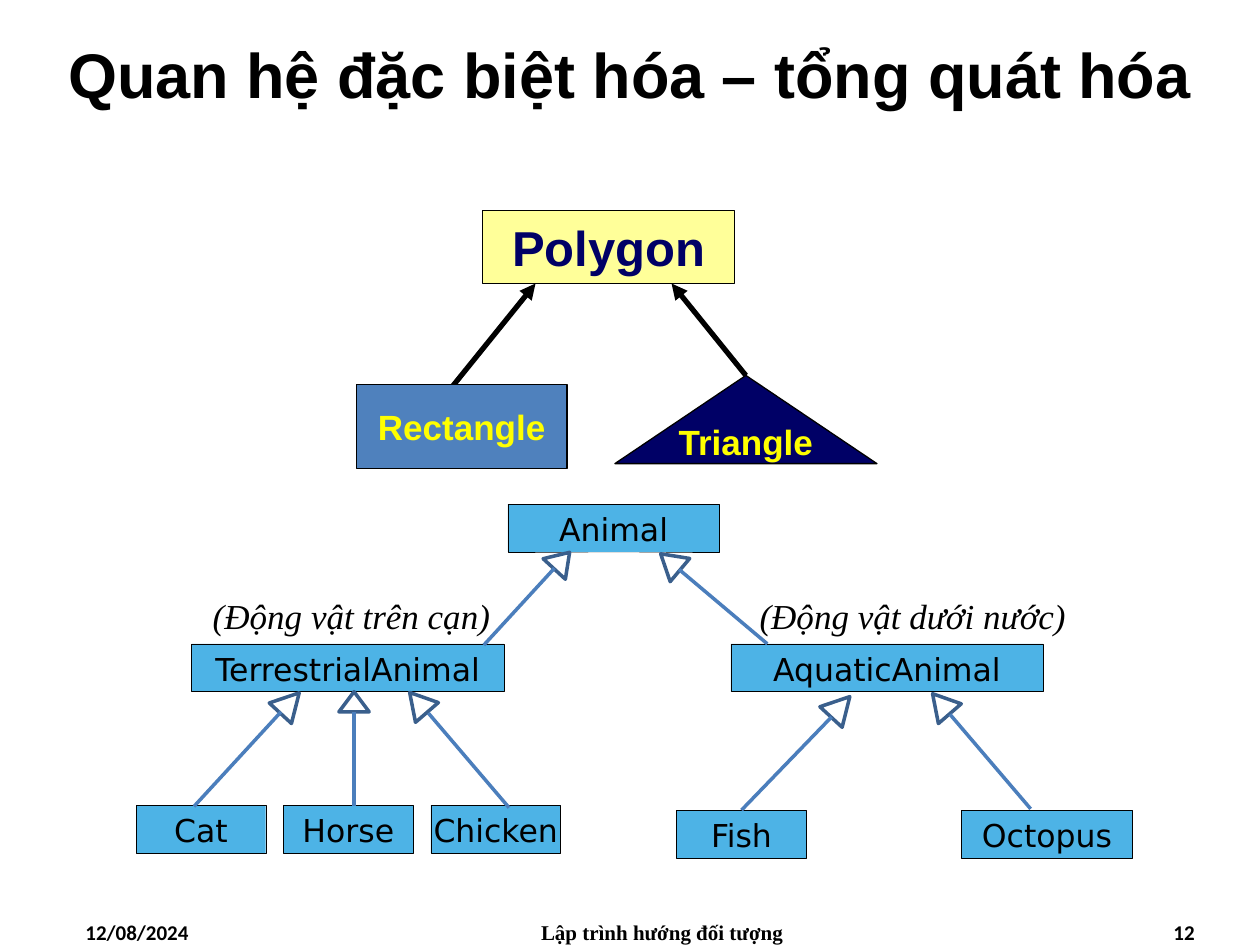
from pptx import Presentation
from pptx.dml.color import RGBColor
from pptx.enum.shapes import MSO_CONNECTOR, MSO_SHAPE
from pptx.enum.text import MSO_ANCHOR, PP_ALIGN
from pptx.oxml.ns import qn
from pptx.util import Inches, Pt
from lxml.etree import SubElement

COLORS = {
    "black": "000000", "navy": "000066", "cream": "FFFF99", "yellow": "FFFF00",
    "blue": "4F81BD", "sky": "4DB3E6", "link": "4B7EBC", "arrowhead": "3A5F8C",
}


def rgb(name):
    return RGBColor.from_string(COLORS[name])


def write(sp, text, size, font, color="black", bold=False, italic=False,
          align=PP_ALIGN.CENTER):
    tf = sp.text_frame
    p = tf.paragraphs[0]
    p.text = text
    p.alignment = align
    f = p.font
    f.size, f.name, f.bold, f.italic = Pt(size), font, bold, italic
    f.color.rgb = rgb(color)
    return tf


def add_text(s, x, y, w, h, text, size, font, **style):
    sp = s.shapes.add_textbox(Inches(x), Inches(y), Inches(w), Inches(h))
    tf = write(sp, text, size, font, **style)
    tf.word_wrap = True
    return tf


def add_node(s, kind, x, y, w, h, fill, line="black", width=0.75):
    sp = s.shapes.add_shape(kind, Inches(x), Inches(y), Inches(w), Inches(h))
    sp.shadow.inherit = False
    if fill:
        sp.fill.solid()
        sp.fill.fore_color.rgb = rgb(fill)
    else:
        sp.fill.background()
    sp.line.color.rgb = rgb(line)
    sp.line.width = Pt(width)
    return sp


def add_line(s, x1, y1, x2, y2, color, width):
    c = s.shapes.add_connector(MSO_CONNECTOR.STRAIGHT, Inches(x1), Inches(y1),
                               Inches(x2), Inches(y2))
    c.line.color.rgb = rgb(color)
    c.line.width = Pt(width)
    SubElement(c._element.spPr, qn("a:effectLst"))
    return c


def polygon_tree(s, x, y):
    def node(kind, dx, dy, w, h, text, size, fill, color):
        sp = add_node(s, kind, x + dx, y + dy, w, h, fill)
        tf = write(sp, text, size, "Arial", color, bold=True)
        tf.word_wrap = False
        tf.vertical_anchor = MSO_ANCHOR.MIDDLE
        return sp

    def arrow(x1, y1, x2, y2):
        c = add_line(s, x + x1, y + y1, x + x2, y + y2, "black", 3)
        SubElement(c.line._get_or_add_ln(), qn("a:headEnd"), type="triangle")
        return c

    triangle = node(MSO_SHAPE.ISOSCELES_TRIANGLE, 2.05, 1.31, 2.08, 0.7,
                    "Triangle", 20, "navy", "yellow")
    node(MSO_SHAPE.RECTANGLE, 1, 0, 2, 0.58, "Polygon", 28, "cream", "navy")
    arrow(1.42, 0.58, 0.75, 1.41)
    arrow(2.5, 0.58, 3.09, 1.31).end_connect(triangle, 0)
    node(MSO_SHAPE.RECTANGLE, 0, 1.38, 1.67, 0.67, "Rectangle", 20, "blue", "yellow")


def animal_tree(s, x, y):
    # Class boxes: name, left, top, width
    classes = [
        ("Animal", 2.95, 0, 1.68),
        ("TerrestrialAnimal", 0.44, 1.11, 2.48),
        ("AquaticAnimal", 4.72, 1.11, 2.48),
        ("Cat", 0, 2.39, 1.03),
        ("Horse", 1.17, 2.39, 1.03),
        ("Chicken", 2.34, 2.39, 1.03),
        ("Fish", 4.29, 2.43, 1.03),
        ("Octopus", 6.55, 2.43, 1.36),
    ]
    boxes = {}
    for name, dx, dy, w in classes:
        sp = add_node(s, MSO_SHAPE.RECTANGLE, x + dx, y + dy, w, 0.38, "sky", width=0.2)
        tf = write(sp, name, 18, "DejaVu Sans")
        tf.paragraphs[0].line_spacing = 0.8
        tf.word_wrap = False
        tf.vertical_anchor = MSO_ANCHOR.MIDDLE
        tf.margin_left = tf.margin_right = tf.margin_bottom = 0
        tf.margin_top = Inches(0.07)
        boxes[name] = sp

    # Inheritance links: line start, line end, arrowhead left, top, height, rotation
    links = {
        "TerrestrialAnimal": (2.76, 1.12, 3.32, 0.51, 3.26, 0.36, 0.18, 42.7),
        "AquaticAnimal": (5.01, 1.11, 4.31, 0.52, 4.12, 0.36, 0.2, 310.1),
        "Cat": (0.46, 2.4, 1.15, 1.65, 1.1, 1.47, 0.22, 42.7),
        "Horse": (1.73, 2.4, 1.73, 1.65, 1.61, 1.49, 0.16, 0),
        "Chicken": (2.96, 2.41, 2.32, 1.66, 2.12, 1.47, 0.21, 319.2),
        "Fish": (4.82, 2.43, 5.52, 1.69, 5.47, 1.5, 0.22, 42.7),
        "Octopus": (7.1, 2.42, 6.46, 1.67, 6.27, 1.48, 0.21, 319.2),
    }
    for name, (x1, y1, x2, y2, dx, dy, h, angle) in links.items():
        head = add_node(s, MSO_SHAPE.ISOSCELES_TRIANGLE, x + dx, y + dy, 0.24, h,
                        None, "arrowhead", 2)
        head.rotation = angle
        c = add_line(s, x + x1, y + y1, x + x2, y + y2, "link", 2)
        if name == "Fish":
            c.begin_connect(boxes[name], 0)

    # Captions
    for dx, w, h, text in [(0.51, 2.5, 0.34, "(Động vật trên cạn)"),
                           (4.85, 2.77, 0.44, "(Động vật dưới nước)")]:
        add_text(s, x + dx, y + 0.67, w, h, text, 20, "Times New Roman",
                 italic=True, align=PP_ALIGN.JUSTIFY)


def title(s, x, y, w, h):
    tf = add_text(s, x, y, w, h, "Quan hệ đặc biệt hóa – tổng quát hóa", 36,
                  "Arial", bold=True)
    tf.vertical_anchor = MSO_ANCHOR.MIDDLE


def footer(s, x, y):
    for dx, w, text, font, align in [
        (0, 2.33, "12/08/2024", "Calibri", PP_ALIGN.LEFT),
        (3.09, 3.17, "Lập trình hướng đối tượng", "Times New Roman", PP_ALIGN.CENTER),
        (6.67, 2.33, "12", "Calibri", PP_ALIGN.RIGHT),
    ]:
        add_text(s, x + dx, y, w, 0.25, text, 12, font, bold=True, align=align)


def main():
    prs = Presentation()
    prs.slide_width, prs.slide_height = Inches(10), Inches(7.5)
    s = prs.slides.add_slide(prs.slide_layouts[6])
    title(s, 0, 0, 10, 1.17)
    footer(s, 0.58, 7.25)
    polygon_tree(s, 2.83, 1.67)
    animal_tree(s, 1.08, 4)
    prs.save("out.pptx")


if __name__ == "__main__":
    main()
